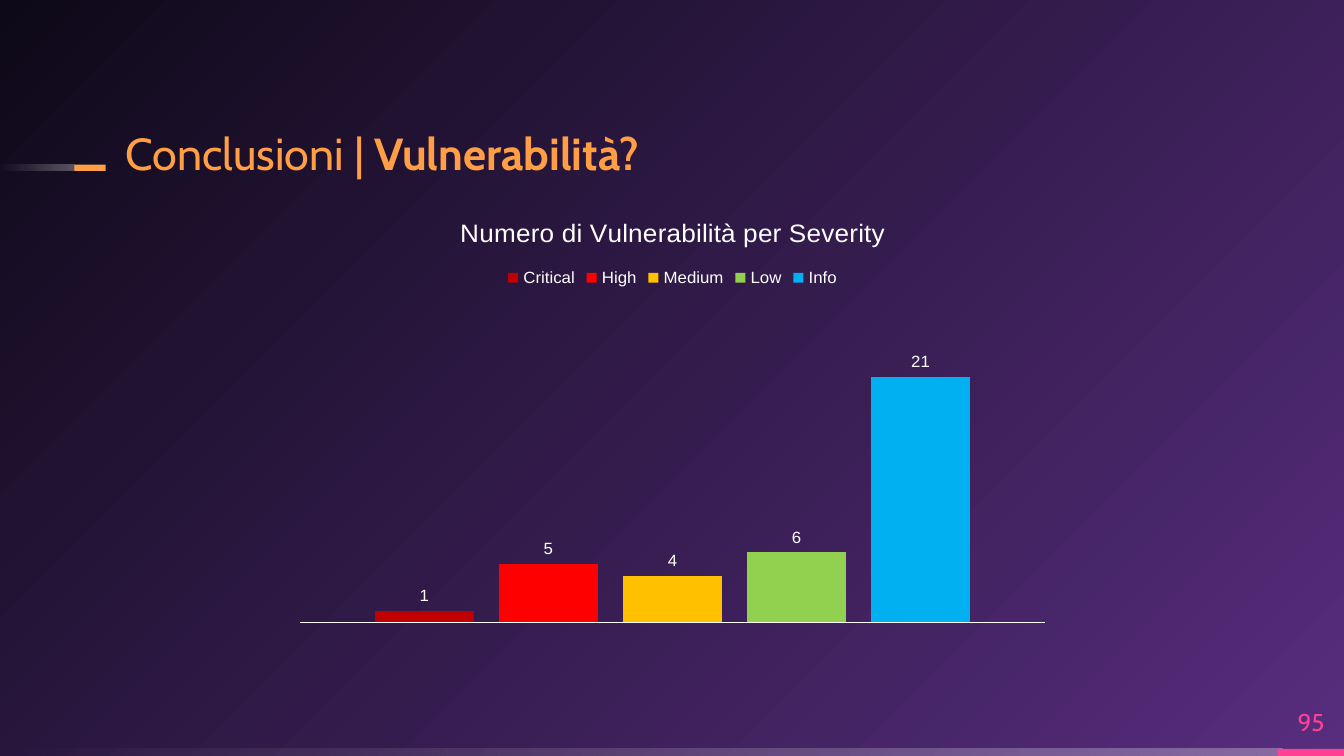
import pptx
import pptx.chart.data
import pptx.dml.color
import pptx.enum.chart
import pptx.enum.shapes
import pptx.enum.text
import pptx.oxml
import pptx.oxml.ns
import pptx.util
from dataclasses import dataclass

Pt = pptx.util.Pt
qn = pptx.oxml.ns.qn


def rgb(value):
    return pptx.dml.color.RGBColor.from_string(value)


@dataclass(frozen=True)
class Theme:
    glow: str = "572D7E"
    night: str = "0E0918"
    white: str = "FFFFFF"
    orange: str = "FF9E44"
    pink: str = "FF4093"
    text_font: str = "Cabin"
    chart_font: str = "Arial"
    title_size: int = 24
    number_size: int = 13
    chart_title_size: int = 14
    chart_size: int = 9


class SlideBuilder:
    """Hold the theme and the current slide, and add styled elements to it."""

    def __init__(self, slide, theme):
        self.slide = slide
        self.theme = theme

    def background(self):
        fill = self.slide.background.fill
        fill.gradient()
        for stop, color in zip(fill.gradient_stops, (self.theme.glow, self.theme.night)):
            stop.color.rgb = rgb(color)
        gradient = self.slide.element.find(".//" + qn("a:gradFill"))
        gradient.remove(gradient.find(qn("a:lin")))
        radial = gradient.makeelement(qn("a:path"), {"path": "circle"})
        radial.append(radial.makeelement(qn("a:fillToRect"), {"l": "100000", "t": "100000"}))
        gradient.append(radial)

    def bar(self, left, top, width, height, color=None):
        shape = self.slide.shapes.add_shape(
            pptx.enum.shapes.MSO_SHAPE.RECTANGLE, Pt(left), Pt(top), Pt(width), Pt(height))
        shape.shadow.inherit = False
        shape.line.fill.background()
        if color:
            shape.fill.solid()
            shape.fill.fore_color.rgb = rgb(color)
        else:
            self.fade(shape)

    def fade(self, shape):
        shape.fill.gradient()
        shape.fill.gradient_angle = 180
        for stop in shape.fill.gradient_stops:
            stop.color.rgb = rgb(self.theme.white)
        colors = shape.element.spPr.iter(qn("a:srgbClr"))
        for color, opacity in zip(colors, (30, 0)):
            color.append(color.makeelement(qn("a:alpha"), {"val": str(opacity * 1000)}))

    def text(self, left, top, width, height, runs, size, color, anchor, align):
        frame = self.slide.shapes.add_textbox(Pt(left), Pt(top), Pt(width), Pt(height)).text_frame
        frame.word_wrap = True
        frame.vertical_anchor = anchor
        frame.margin_left = frame.margin_right = frame.margin_top = frame.margin_bottom = 0
        paragraph = frame.paragraphs[0]
        paragraph.alignment = align
        paragraph.line_spacing = 0.9
        self.style(paragraph.font, size, color, self.theme.text_font)
        for words, bold in runs:
            run = paragraph.add_run()
            run.text = words
            if bold:
                run.font.bold = True

    def style(self, font, size, color, name):
        font.size = Pt(size)
        font.color.rgb = rgb(color)
        font.name = name

    def chart_style(self, font, size):
        self.style(font, size, self.theme.white, self.theme.chart_font)

    def place(self, element, index, **fractions):
        for old in element.findall(qn("c:layout")):
            element.remove(old)
        layout = element.makeelement(qn("c:layout"), {})
        manual = layout.makeelement(qn("c:manualLayout"), {})
        layout.append(manual)
        settings = {"xMode": "edge", "yMode": "edge", **fractions}
        if element.tag == qn("c:plotArea"):
            settings = {"layoutTarget": "inner", **settings}
        for name, value in settings.items():
            manual.append(manual.makeelement(qn("c:" + name), {"val": str(value)}))
        element.insert(index, layout)

    def column_chart(self, left, top, width, height, title, series):
        theme = self.theme
        data = pptx.chart.data.CategoryChartData()
        data.categories = [" "]
        for name, value, _ in series:
            data.add_series(name, [value])
        chart = self.slide.shapes.add_chart(
            pptx.enum.chart.XL_CHART_TYPE.COLUMN_CLUSTERED,
            Pt(left), Pt(top), Pt(width), Pt(height), data).chart
        self.chart_style(chart.font, theme.chart_size)

        chart.has_title = True
        frame = chart.chart_title.text_frame
        frame.text = title
        self.chart_style(frame.paragraphs[0].font, theme.chart_title_size)
        frame.paragraphs[0].font.bold = False
        chart.has_legend = True
        chart.legend.position = pptx.enum.chart.XL_LEGEND_POSITION.TOP
        chart.legend.include_in_layout = False
        self.chart_style(chart.legend.font, theme.chart_size)

        axis = chart.category_axis
        axis.major_tick_mark = pptx.enum.chart.XL_TICK_MARK.NONE
        axis.format.line.color.rgb = rgb(theme.white)
        axis.format.line.width = Pt(0.75)
        self.chart_style(axis.tick_labels.font, theme.chart_size)
        chart.value_axis.visible = False
        chart.value_axis.has_major_gridlines = False
        chart.value_axis.minimum_scale = 0
        chart.value_axis.maximum_scale = 25

        plot = chart.plots[0]
        plot.vary_by_categories = False
        plot.gap_width = 150
        plot.overlap = -25
        for column, (_, _, color) in zip(plot.series, series):
            column.format.fill.solid()
            column.format.fill.fore_color.rgb = rgb(color)
            labels = column.data_labels
            labels.show_value = True
            labels.position = pptx.enum.chart.XL_LABEL_POSITION.OUTSIDE_END
            self.chart_style(labels.font, theme.chart_size)

        self.place(chart.chart_title.element, 1, x=0.22, y=0.04)
        self.place(chart.element.find(".//" + qn("c:legend")), 1, x=0.28, y=0.15, w=0.44, h=0.08)
        self.place(chart.element.find(".//" + qn("c:plotArea")), 0, x=0.02, y=0.31, w=0.96, h=0.67)


def main():
    presentation = pptx.Presentation()
    presentation.slide_width = Pt(720)
    presentation.slide_height = Pt(405)
    theme = Theme()
    builder = SlideBuilder(presentation.slides.add_slide(presentation.slide_layouts[6]), theme)
    anchors = pptx.enum.text.MSO_ANCHOR
    alignments = pptx.enum.text.PP_ALIGN

    builder.background()
    builder.bar(0, 401.2, 687, 3.8)
    builder.bar(684.7, 401.2, 35.3, 3.8, theme.pink)
    builder.bar(0, 88.2, 40, 3.4)
    builder.bar(39.8, 88.2, 16.8, 3.4, theme.orange)
    builder.text(67.4, 65.5, 617, 31, [("Conclusioni | ", False), ("Vulnerabilità?", True)],
                 theme.title_size, theme.orange, anchors.BOTTOM, alignments.LEFT)
    builder.text(684.7, 374, 35.3, 27.2, [("95", False)],
                 theme.number_size, theme.pink, anchors.MIDDLE, alignments.CENTER)
    builder.column_chart(152.6, 104.4, 415.4, 242, "Numero di Vulnerabilità per Severity", [
        ("Critical", 1, "C00000"),
        ("High", 5, "FF0000"),
        ("Medium", 4, "FFC000"),
        ("Low", 6, "92D050"),
        ("Info", 21, "00B0F0"),
    ])
    presentation.save("out.pptx")


if __name__ == "__main__":
    main()
